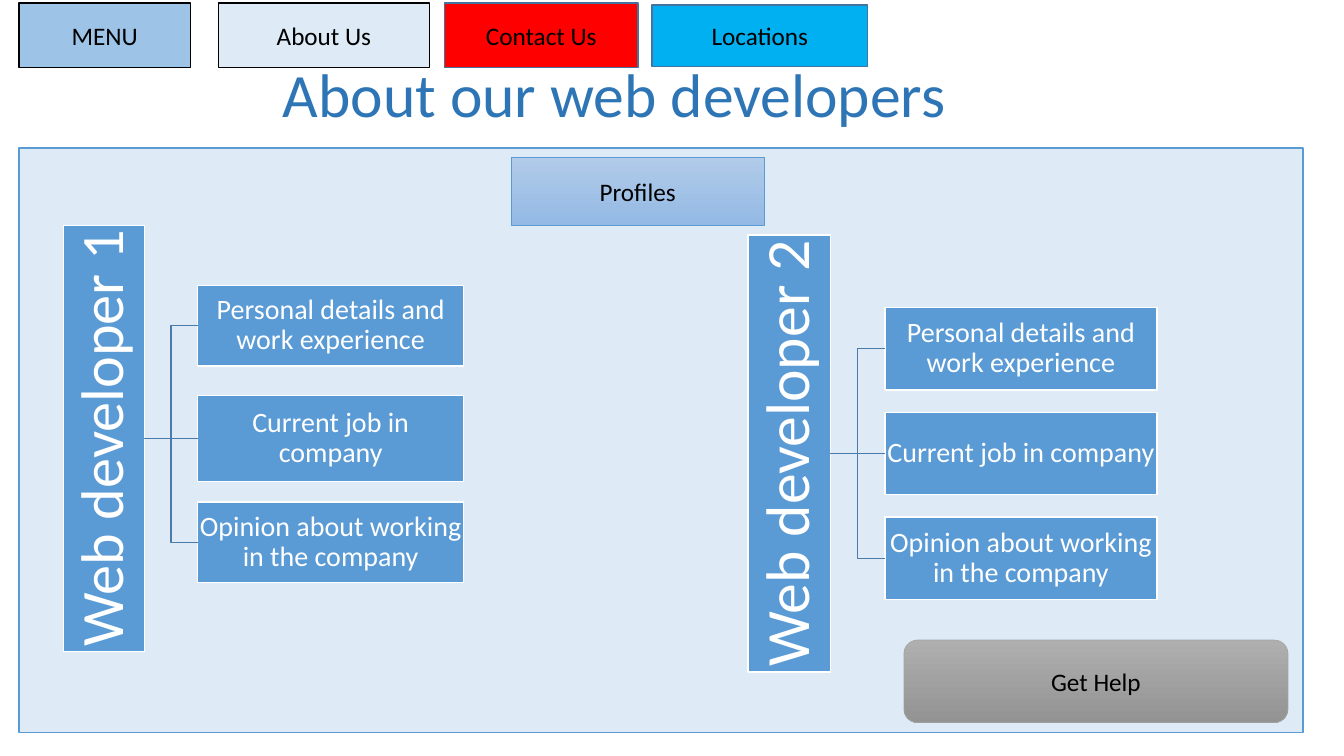
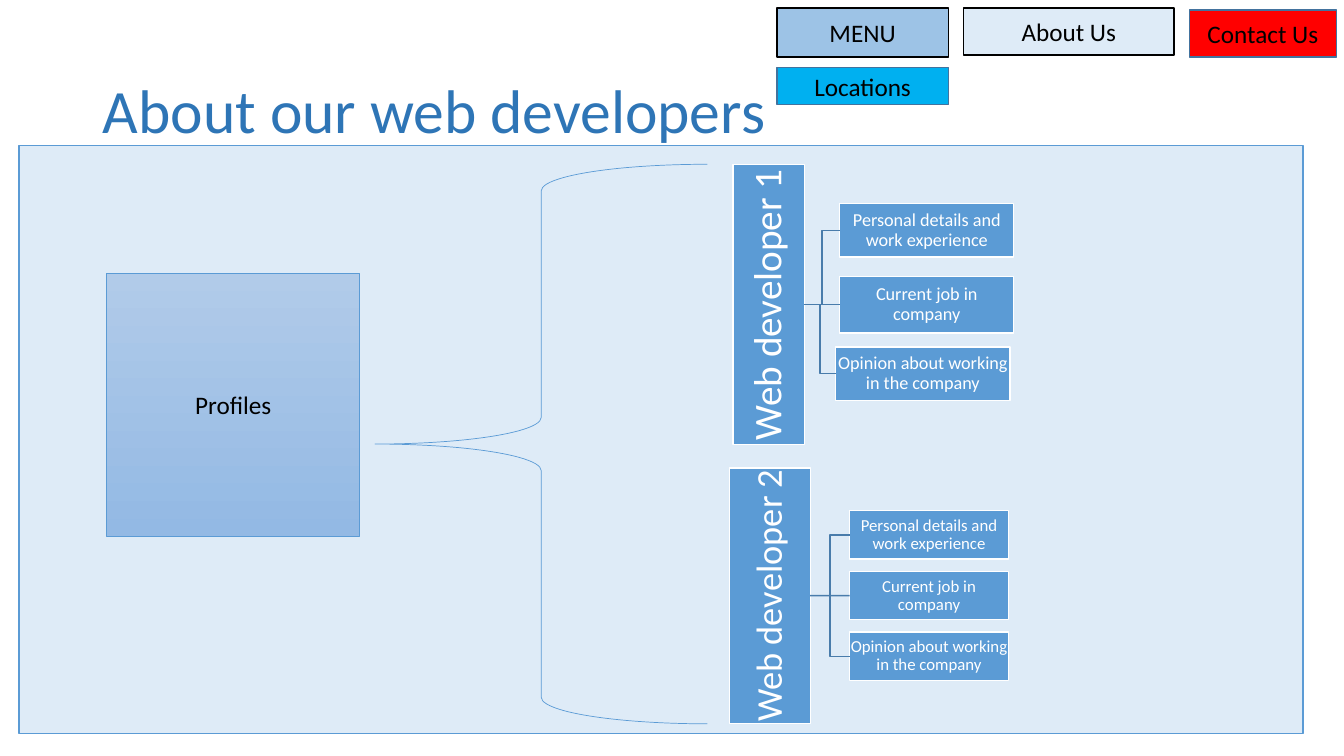
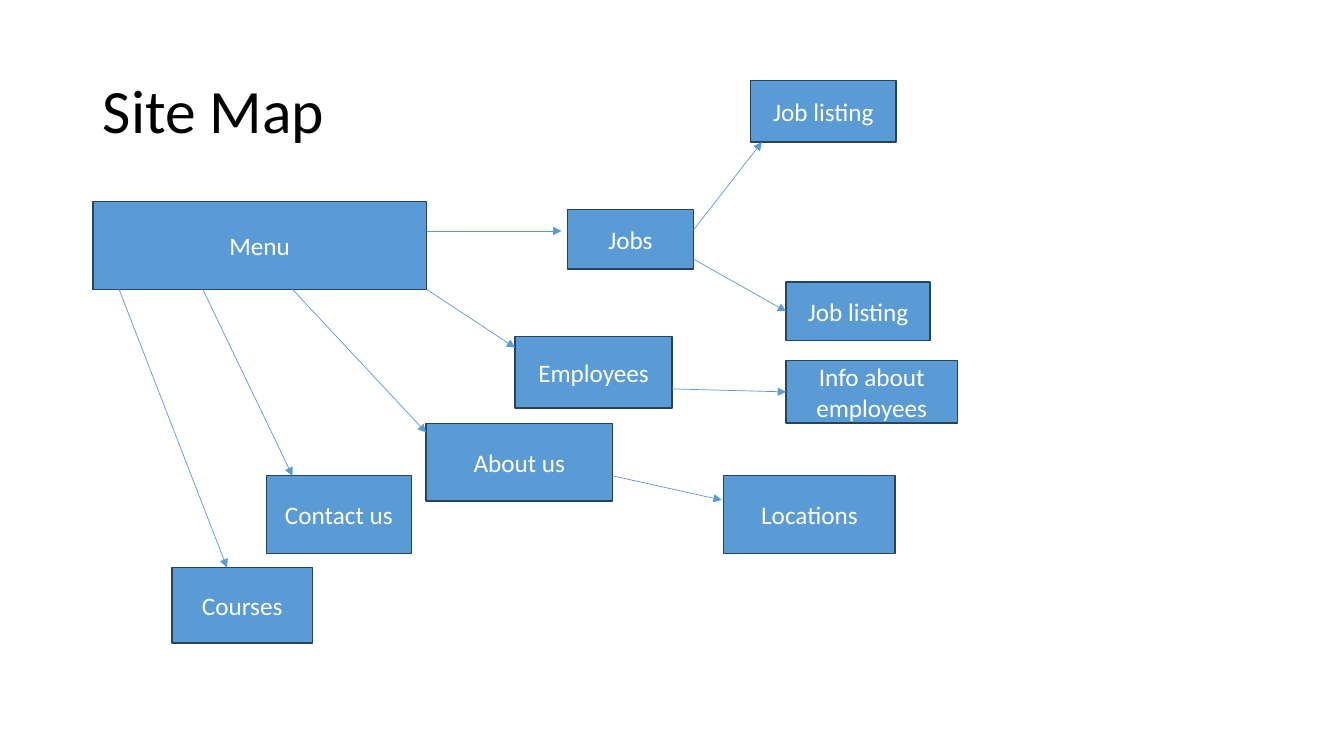
import lxml.etree
import pptx
import pptx.dml.color
import pptx.enum.shapes
import pptx.enum.text
import pptx.oxml.ns
import pptx.util

Cm = pptx.util.Cm
SHAPES = pptx.enum.shapes.MSO_SHAPE
CONNECTORS = pptx.enum.shapes.MSO_CONNECTOR
ALIGN = pptx.enum.text.PP_ALIGN
TOP, LEFT, BOTTOM, RIGHT = range(4)

BLACK, WHITE = "000000", "FFFFFF"
BLUE, PALE_BLUE, TITLE_BLUE = "5B9BD5", "DEEBF7", "2E75B6"
NAVY, STEEL, BRANCH_BLUE = "28445D", "43739E", "497CAB"
BLUE_FADE, GREY_FADE = ("B1CBE9", "93B9E4"), ("AFAFAF", "939393")

DEVELOPERS_TITLE = "About our web developers"
TOPICS = (
    "Personal details and work experience",
    "Current job in company",
    "Opinion about working in the company",
)
NAVIGATION = (
    ("MENU", "9DC3E6", BLACK),
    ("About Us", PALE_BLUE, BLACK),
    ("Contact Us", "FF0000", STEEL),
    ("Locations", "00B0F0", STEEL),
)


def colour(value):
    return pptx.dml.color.RGBColor.from_string(value)


def write_text(shape, words, size=18, ink=BLACK, align=ALIGN.CENTER, spacing=None, inset=None):
    frame = shape.text_frame
    frame.word_wrap = True
    frame.vertical_anchor = pptx.enum.text.MSO_ANCHOR.MIDDLE
    if inset is not None:
        frame.margin_left = frame.margin_right = Cm(inset)
        frame.margin_top = frame.margin_bottom = Cm(inset)
    para = frame.paragraphs[0]
    para.alignment = align
    if spacing:
        para.line_spacing = spacing
    span = para.add_run()
    span.text = words
    span.font.name = "Calibri"
    span.font.size = pptx.util.Pt(size)
    span.font.color.rgb = colour(ink)


class SiteDeck:
    """Holds the shared style and the current slide of the site design deck."""

    def __init__(self):
        self.deck = pptx.Presentation()
        self.deck.slide_width, self.deck.slide_height = Cm(33.87), Cm(19.05)
        self.page = None

    def add_page(self):
        self.page = self.deck.slides.add_slide(self.deck.slide_layouts[6])

    def title(self, words, ink=TITLE_BLUE, place=(2.34, 1.02, 29.21, 3.68)):
        box = self.page.shapes.add_textbox(*map(Cm, place))
        write_text(box, words, size=44, ink=ink, align=ALIGN.LEFT, spacing=0.9)

    def box(self, place, fill, line, weight=1.0, words="", kind=SHAPES.RECTANGLE, **text_format):
        box = self.page.shapes.add_shape(kind, *map(Cm, place))
        box.shadow.inherit = False
        if fill is None:
            box.fill.background()
        elif isinstance(fill, tuple):
            box.fill.gradient()
            box.fill.gradient_angle = 270
            for stop, shade in zip(box.fill.gradient_stops, fill):
                stop.color.rgb = colour(shade)
        else:
            box.fill.solid()
            box.fill.fore_color.rgb = colour(fill)
        box.line.color.rgb = colour(line)
        box.line.width = pptx.util.Pt(weight)
        if words:
            write_text(box, words, **text_format)
        return box

    def connector(self, kind, start, end, line, weight):
        link = self.page.shapes.add_connector(kind, *map(Cm, start + end))
        link.line.color.rgb = colour(line)
        link.line.width = pptx.util.Pt(weight)
        lxml.etree.SubElement(link.element.spPr, pptx.oxml.ns.qn("a:effectLst"))
        return link

    def arrow(self, start, end, target=None):
        link = self.connector(CONNECTORS.STRAIGHT, start, end, BLUE, 0.5)
        outline = link.element.spPr.get_or_add_ln()
        lxml.etree.SubElement(outline, pptx.oxml.ns.qn("a:tailEnd"), type="triangle")
        if target is not None:
            link.end_connect(target, LEFT)

    def panel(self, top, height):
        self.box((0.48, top, 32.36, height), PALE_BLUE, BLUE)

    def profiles(self, place):
        self.box(place, BLUE_FADE, BLUE, 0.5, "Profiles")

    def navigation(self, places):
        for (words, fill, line), place in zip(NAVIGATION, places):
            self.box(place, fill, line, words=words)

    def site(self, words, place):
        return self.box(place, BLUE, NAVY, words=words, ink=WHITE)

    def developer_tree(self, name, root_place, root_size, topic_places, topic_size):
        style = {"ink": WHITE, "spacing": 0.9, "inset": 0.03}
        root = self.box(root_place, BLUE, WHITE, words=name, size=root_size, **style)
        root.text_frame._txBody.bodyPr.set("vert", "vert270")
        for row, (words, place) in enumerate(zip(TOPICS, topic_places)):
            topic = self.box(place, BLUE, WHITE, words=words, size=topic_size, **style)
            kind = CONNECTORS.STRAIGHT if row == 1 else CONNECTORS.ELBOW
            branch = self.connector(kind, (0, 0), (1, 1), BRANCH_BLUE, 1)
            branch.begin_connect(root, RIGHT)
            branch.end_connect(topic, LEFT)


def build_wide_profiles(site):
    site.add_page()
    site.title(DEVELOPERS_TITLE, place=(6.88, 1.02, 24.67, 2.9))
    site.panel(3.73, 14.73)
    site.profiles((12.88, 3.96, 6.38, 1.73))
    site.box((22.78, 16.13, 9.68, 2.08), GREY_FADE, "A5A5A5", 0.5, "Get Help",
             SHAPES.ROUNDED_RECTANGLE)
    site.developer_tree(
        "Web developer 1", (1.6, 5.68, 2.04, 10.74), 43,
        [(4.98, top, 6.71, height) for top, height in ((7.19, 2.03), (9.96, 2.18), (12.65, 2.03))],
        20)
    site.developer_tree(
        "Web developer 2", (18.85, 5.92, 2.08, 11.02), 44,
        [(22.3, 7.75 + 2.64 * row, 6.86, 2.08) for row in range(3)], 20)
    site.navigation([
        (0.48, 0.08, 4.32, 1.63), (5.51, 0.08, 5.31, 1.63),
        (11.2, 0.08, 4.88, 1.63), (16.43, 0.13, 5.44, 1.55)])


def build_braced_profiles(site):
    site.add_page()
    site.title(DEVELOPERS_TITLE)
    site.panel(3.66, 14.83)
    site.navigation([
        (19.58, 0.2, 4.32, 1.24), (24.28, 0.2, 5.31, 1.19),
        (29.97, 0.25, 3.71, 1.19), (19.58, 1.7, 4.32, 0.94)])
    site.developer_tree(
        "Web developer 1", (18.47, 4.15, 1.8, 7.06), 28,
        [(21.16, 5.13, 4.39, 1.35), (21.16, 6.97, 4.39, 1.42), (21.06, 8.74, 4.39, 1.35)], 13)
    site.profiles((2.69, 6.88, 6.38, 6.63))
    site.developer_tree(
        "Web developer 2", (18.39, 11.79, 2.03, 6.44), 26,
        [(21.41, 12.87 + 1.53 * row, 4.01, 1.22) for row in range(3)], 12)
    brace = site.box((9.45, 4.14, 8.38, 14.1), None, BLUE, 0.5, kind=SHAPES.LEFT_BRACE)
    brace.adjustments[0], brace.adjustments[1] = 0.08, 0.5


def build_site_map(site):
    site.add_page()
    site.title("Site Map", ink=BLACK)
    for words, place in (
        ("Menu", (2.34, 5.08, 8.41, 2.21)),
        ("Jobs", (14.3, 5.28, 3.18, 1.5)),
        ("Employees", (12.98, 8.48, 3.96, 1.8)),
        ("About us", (10.74, 10.67, 4.7, 1.96)),
        ("Contact us", (6.71, 11.99, 3.66, 1.96)),
        ("Courses", (4.34, 14.3, 3.53, 1.9)),
        ("Job listing", (18.92, 2.03, 3.66, 1.55)),
        ("Locations", (18.24, 11.99, 4.32, 1.96)),
    ):
        site.site(words, place)
    second_listing = site.site("Job listing", (19.81, 7.11, 3.63, 1.47))
    employee_info = site.site("Info about employees", (19.81, 9.09, 4.32, 1.57))
    for start, end, target in (
        ((10.75, 5.82), (14.15, 5.82), None),
        ((10.75, 7.29), (12.98, 8.76), None),
        ((7.37, 7.29), (10.74, 10.9), None),
        ((5.11, 7.29), (7.37, 11.99), None),
        ((3, 7.29), (5.72, 14.3), None),
        ((17.48, 5.79), (19.2, 3.58), None),
        ((17.48, 6.53), (19.81, 7.85), second_listing),
        ((16.94, 9.8), (19.81, 9.88), employee_info),
        ((15.44, 11.99), (18.19, 12.6), None),
    ):
        site.arrow(start, end, target)


def main():
    site = SiteDeck()
    build_wide_profiles(site)
    build_braced_profiles(site)
    build_site_map(site)
    site.deck.save("out.pptx")


if __name__ == "__main__":
    main()
